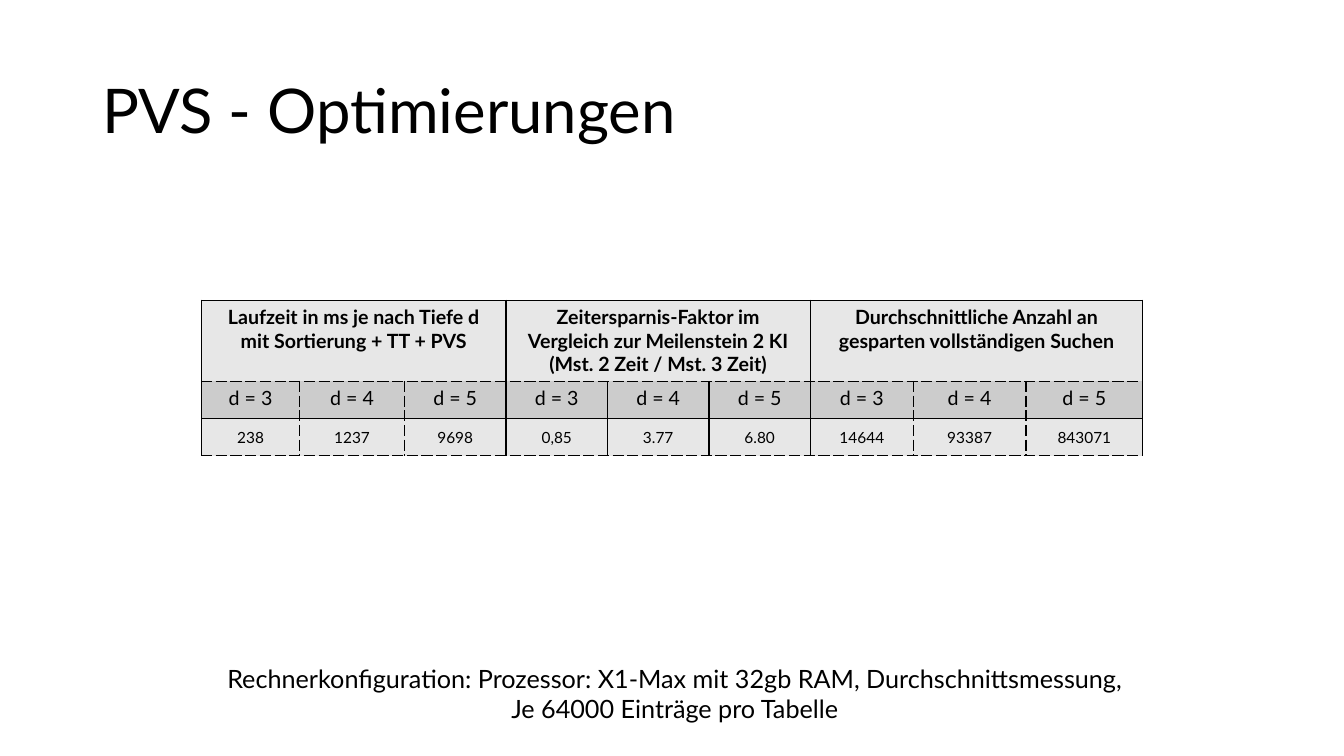
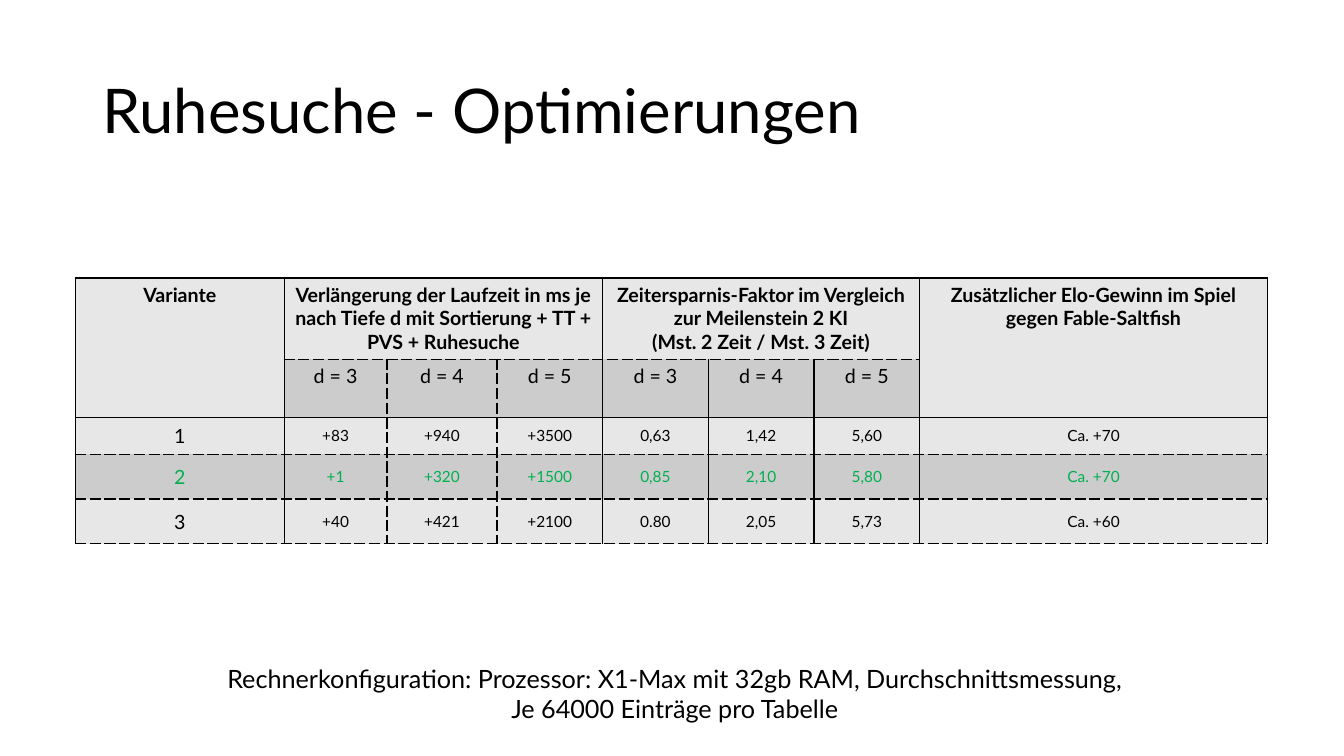
from lxml import etree
from pptx import Presentation
from pptx.dml.color import RGBColor
from pptx.enum.text import MSO_ANCHOR, PP_ALIGN
from pptx.oxml.ns import qn
from pptx.util import Pt

LEFT, CENTER = PP_ALIGN.LEFT, PP_ALIGN.CENTER
TOP, MIDDLE = MSO_ANCHOR.TOP, MSO_ANCHOR.MIDDLE

FONT = "Lato"
BLACK, GREEN = "000000", "00B050"
LIGHT, DARK = "E7E7E7", "CCCCCC"
SIDES = ("L", "R", "T", "B")
SOLID_RULES = (0, 2)  # horizontal rules above the header and below the depths
HEADER_ROW, DEPTH_ROW = 0, 1

TITLE_BOX = (66, 28.8, 828, 104.4)
NOTE_BOX = (58.3, 470.2, 847.4, 51.1)
NOTE = [
    "Rechnerkonfiguration: Prozessor: X1-Max mit 32gb RAM, Durchschnittsmessung,",
    "Je 64000 Einträge pro Tabelle",
]
DEPTHS = ["d = 3", "d = 4", "d = 5"]
FACTOR = ["Zeitersparnis-Faktor im Vergleich zur Meilenstein 2 KI",
          "(Mst. 2 Zeit / Mst. 3 Zeit)"]

# Each header is (column, rows spanned, columns spanned, paragraphs).
SLIDES = [
    {
        "title": "PVS - Optimierungen",
        "corner": (144, 214.5),
        "widths": [70, 75, 72.5, 72.5, 72.5, 72.5, 73.5, 80.5, 83.5],
        "heights": [58, 26.5, 26.5],
        "headers": [
            (0, 1, 3, ["Laufzeit in ms je nach Tiefe d mit Sortierung + TT + PVS"]),
            (3, 1, 3, FACTOR),
            (6, 1, 3, ["Durchschnittliche Anzahl an gesparten vollständigen Suchen"]),
        ],
        "rows": [
            DEPTHS * 3,
            ["238", "1237", "9698", "0,85", "3.77", "6.80", "14644", "93387", "843071"],
        ],
        "dashed_columns": (1, 2, 7, 8),
        "label_column": None,
        "highlight_row": None,
    },
    {
        "title": "Ruhesuche - Optimierungen",
        "corner": (54, 198.5),
        "widths": [149, 73.5, 78.5, 75.5, 75.5, 75.5, 75.5, 248.5],
        "heights": [58, 41.5, 26.5, 32, 32],
        "headers": [
            (0, 2, 1, ["Variante"]),
            (1, 1, 3, ["Verlängerung der Laufzeit in ms je nach Tiefe d mit "
                       "Sortierung + TT + PVS + Ruhesuche"]),
            (4, 1, 3, FACTOR),
            (7, 2, 1, ["Zusätzlicher Elo-Gewinn im Spiel gegen Fable-Saltfish"]),
        ],
        "rows": [
            ["", *DEPTHS, *DEPTHS, ""],
            ["1", "+83", "+940", "+3500", "0,63", "1,42", "5,60", "Ca. +70"],
            ["2", "+1", "+320", "+1500", "0,85", "2,10", "5,80", "Ca. +70"],
            ["3", "+40", "+421", "+2100", "0.80", "2,05", "5,73", "Ca. +60"],
        ],
        "dashed_columns": (2, 3),
        "label_column": 0,
        "highlight_row": 3,
    },
]


def rgb(value):
    return RGBColor.from_string(value)


def write(frame, lines, size, color=BLACK, bold=False, align=CENTER, spacing=1.0):
    for index, line in enumerate(lines):
        para = frame.paragraphs[0] if index == 0 else frame.add_paragraph()
        para.alignment, para.line_spacing = align, spacing
        span = para.add_run()
        span.text = line
        for name, value in {"name": FONT, "size": Pt(size), "bold": bold}.items():
            setattr(span.font, name, value)
        span.font.color.rgb = rgb(color)


def add_text(page, bounds, lines, size, anchor=TOP, **style):
    frame = page.shapes.add_textbox(*map(Pt, bounds)).text_frame
    frame.word_wrap, frame.vertical_anchor = True, anchor
    write(frame, lines, size, **style)


def add_border(cell, side, dashed):
    properties = cell._tc.get_or_add_tcPr()
    line = etree.SubElement(properties, qn("a:ln" + side), w=str(Pt(1)))
    fill = etree.SubElement(line, qn("a:solidFill"))
    etree.SubElement(fill, qn("a:srgbClr"), val=BLACK)
    etree.SubElement(line, qn("a:prstDash"), val="sysDash" if dashed else "solid")


def find_regions(data):
    """Map each merged position to its (top, left, bottom, right) edges."""
    regions = {}
    for left, rows, columns, _ in data["headers"]:
        for row in range(rows):
            for column in range(left, left + columns):
                regions[row, column] = (0, left, rows, left + columns)
    return regions


def draw_borders(cell, row, column, region, dashed_columns):
    """Draw outer edges; the first cell of a merged region carries all four."""
    top, left, bottom, right = region
    is_origin = (row, column) == (top, left)
    touches = {"L": column == left, "R": column + 1 == right,
               "T": row == top, "B": row + 1 == bottom}
    below_header = row > HEADER_ROW
    dashed = {"L": below_header and left in dashed_columns,
              "R": below_header and right in dashed_columns,
              "T": top not in SOLID_RULES, "B": bottom not in SOLID_RULES}
    for side in SIDES:
        if is_origin or touches[side]:
            add_border(cell, side, dashed[side])


def add_results(page, data):
    widths, heights = data["widths"], data["heights"]
    bounds = (*data["corner"], sum(widths), sum(heights))
    table = page.shapes.add_table(len(heights), len(widths), *map(Pt, bounds)).table
    table.first_row = table.horz_banding = False
    for column, width in zip(table.columns, widths):
        column.width = Pt(width)
    for row, height in zip(table.rows, heights):
        row.height = Pt(height)

    for left, rows, columns, lines in data["headers"]:
        origin = table.cell(HEADER_ROW, left)
        origin.merge(table.cell(rows - 1, left + columns - 1))
        write(origin.text_frame, lines, 14, bold=True)

    regions = find_regions(data)
    for row in range(len(heights)):
        for column in range(len(widths)):
            cell = table.cell(row, column)
            merged = (row, column) in regions
            region = regions.get((row, column), (row, column, row + 1, column + 1))
            highlighted = row == data["highlight_row"]
            draw_borders(cell, row, column, region, data["dashed_columns"])
            dark = highlighted or (row == DEPTH_ROW and not merged)
            cell.fill.solid()
            cell.fill.fore_color.rgb = rgb(DARK if dark else LIGHT)
            cell.margin_left = cell.margin_right = Pt(7.6)
            cell.vertical_anchor = MIDDLE if row > DEPTH_ROW else TOP
            if not merged:
                large = row == DEPTH_ROW or column == data["label_column"]
                write(cell.text_frame, [data["rows"][row - 1][column]],
                      14 if large else 11, GREEN if highlighted else BLACK)


def main():
    deck = Presentation()
    deck.slide_width, deck.slide_height = Pt(960), Pt(540)
    for data in SLIDES:
        page = deck.slides.add_slide(deck.slide_layouts[6])
        add_text(page, TITLE_BOX, [data["title"]], 44, MIDDLE, align=LEFT, spacing=0.9)
        add_results(page, data)
        add_text(page, NOTE_BOX, NOTE, 18)
    deck.save("out.pptx")


if __name__ == "__main__":
    main()
